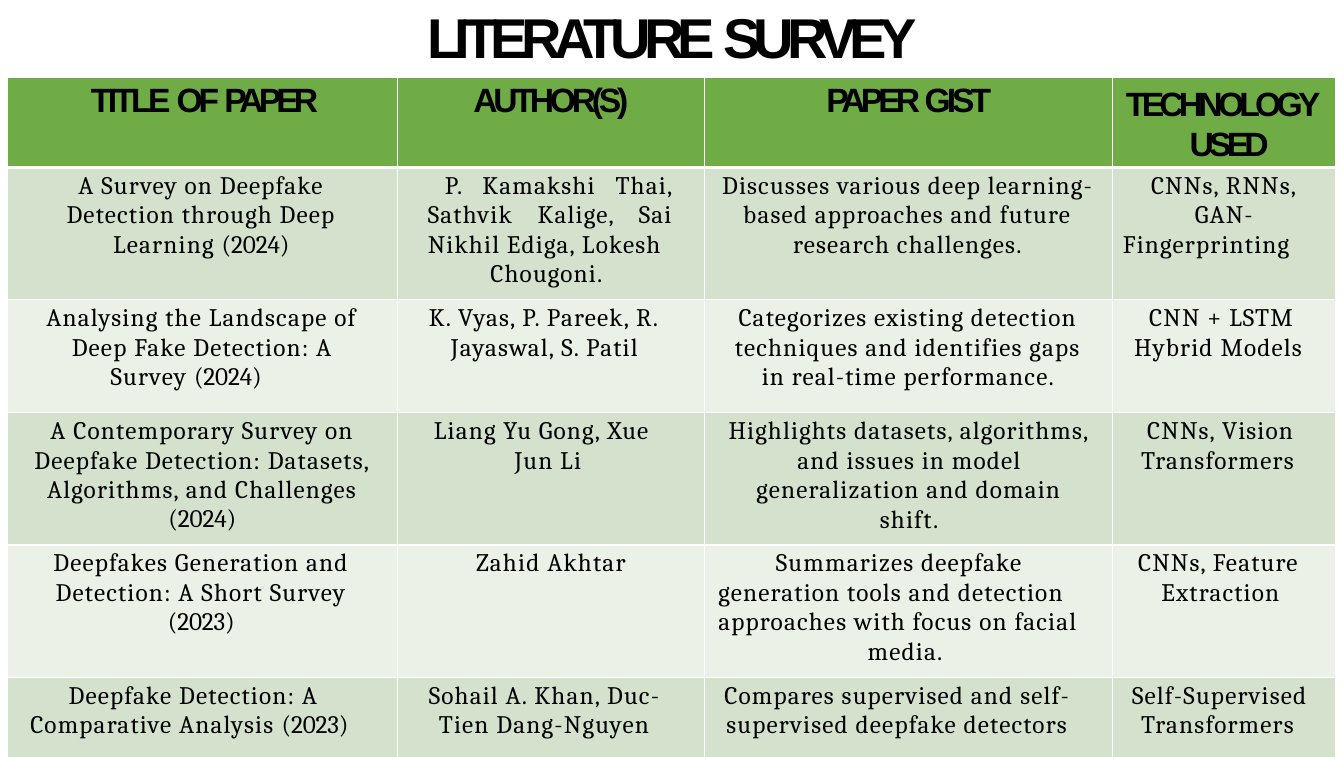
from typing import NamedTuple

from lxml.etree import SubElement
from pptx import Presentation
from pptx.dml.color import RGBColor
from pptx.enum.text import PP_ALIGN
from pptx.oxml.ns import qn
from pptx.util import Inches, Pt

COLORS = {"ink": "000000", "rule": "FFFFFF", "header": "6FAC46",
          "dark_band": "D4E2CD", "light_band": "EBF1E7"}
LEFT, CENTER, JUSTIFY = PP_ALIGN.LEFT, PP_ALIGN.CENTER, PP_ALIGN.JUSTIFY
COLUMN_WIDTHS = [3.87, 3.04, 4.05, 2.21]
ROW_HEIGHTS = [0.89, 1.31, 1.12, 1.31, 1.31, 0.8]


class Line(NamedTuple):
    """A paragraph: its text, alignment and indents in inches."""
    text: str
    align: PP_ALIGN = LEFT
    left: float = 0
    first: float = 0
    right: float = 0


# Heading, letter spacing of each word, top inset
HEADINGS = [
    (Line("TITLE OF PAPER", LEFT, 0.83), [-2.4, -3, -3.5], 0.04),
    (Line("AUTHOR(S)", CENTER), [-3], 0.04),
    (Line("PAPER GIST", LEFT, 1.21), [-3.5, -2.8], 0.04),
    (Line("TECHNOLOGY USED", LEFT, 0.76, -0.63), [-3.4, -3.4], 0.06),
]

PAPERS = [
    [[Line("A Survey on Deepfake Detection through Deep Learning (2024)",
           CENTER, 0.52, 0, 0.54)],
     [Line("P. Kamakshi Thai, Sathvik Kalige, Sai Nikhil Ediga, Lokesh",
           JUSTIFY, 0.3, 0.17, 0.31),
      Line("Chougoni.", LEFT, 0.92)],
     [Line("Discusses various deep learning-based approaches and future "
           "research challenges.", CENTER, 0.15, 0.01, 0.17)],
     [Line("CNNs, RNNs, GAN-", CENTER, 0.35, 0, 0.36),
      Line("Fingerprinting", CENTER, 0, 0, 0.36)]],
    [[Line("Analysing the Landscape of Deep Fake Detection: A",
           CENTER, 0.3, 0, 0.31),
      Line("Survey (2024)", CENTER, 0, 0, 0.32)],
     [Line("K. Vyas, P. Pareek, R. Jayaswal, S. Patil", LEFT, 0.53, -0.22, 0.3)],
     [Line("Categorizes existing detection techniques and identifies gaps in "
           "real-time performance.", CENTER, 0.22, 0, 0.23)],
     [Line("CNN + LSTM", LEFT, 0.36), Line("Hybrid Models", LEFT, 0.21)]],
    [[Line("A Contemporary Survey on Deepfake Detection: Datasets, "
           "Algorithms, and Challenges (2024)", CENTER, 0.18, 0, 0.18)],
     [Line("Liang Yu Gong, Xue Jun Li", LEFT, 1.16, -0.8, 0.4)],
     [Line("Highlights datasets, algorithms, and issues in model",
           CENTER, 0.16, 0, 0.15),
      Line("generalization and domain shift.", CENTER, 0.42, 0, 0.41)],
     [Line("CNNs, Vision Transformers", LEFT, 0.28, 0.06)]],
    [[Line("Deepfakes Generation and Detection: A Short Survey (2023)",
           CENTER, 0.36, 0, 0.38)],
     [Line("Zahid Akhtar", CENTER)],
     [Line("Summarizes deepfake generation tools and detection approaches "
           "with focus on facial", LEFT, 0.14, 0.57, 0.2),
      Line("media.", LEFT, 1.62)],
     [Line("CNNs, Feature Extraction", LEFT, 0.48, -0.23)]],
    [[Line("Deepfake Detection: A Comparative Analysis (2023)",
           LEFT, 0.23, 0.38)],
     [Line("Sohail A. Khan, Duc- Tien Dang-Nguyen", LEFT, 0.41, -0.1, 0.3)],
     [Line("Compares supervised and self- supervised deepfake detectors",
           LEFT, 0.22, -0.02)],
     [Line("Self-Supervised Transformers", LEFT, 0.28, -0.09)]],
]


class SurveySlide:
    """Holds the fonts and the page that elements are added to."""
    heading_font = "Arial"
    body_font = "Cambria"
    body_spacing = 0.85
    year_spacing = -0.1

    def __init__(self, page):
        self.page = page

    def add_spans(self, para, parts, font, size, bold=False):
        """Add runs given as (text, letter spacing in points)."""
        for text, spacing in parts:
            span = para.add_run()
            span.text = text
            span.font.name = font
            span.font.size = Pt(size)
            span.font.bold = bold
            span.font.color.rgb = RGBColor.from_string(COLORS["ink"])
            span._r.get_or_add_rPr().set("spc", str(round(spacing * 100)))

    def place(self, para, line, before):
        para.alignment = line.align
        para.space_before = Pt(before)
        properties = para._p.get_or_add_pPr()
        for name, length in (("marL", line.left), ("marR", line.right),
                             ("indent", line.first)):
            properties.set(name, str(Inches(length)))

    def title(self, words, spacings):
        box = self.page.shapes.add_textbox(
            Inches(4.23), Inches(0.01), Inches(4.87), Inches(0.69))
        frame = box.text_frame
        frame.word_wrap = True
        frame.margin_left = frame.margin_right = frame.margin_bottom = 0
        frame.margin_top = Inches(0.01)
        para = frame.paragraphs[0]
        self.place(para, Line("", LEFT, 0.01), 0.9)
        self.add_spans(para, zip(words, spacings), self.heading_font, 40, True)

    def table(self):
        table = self.page.shapes.add_table(
            len(ROW_HEIGHTS), len(COLUMN_WIDTHS), Inches(0.07), Inches(0.77),
            Inches(sum(COLUMN_WIDTHS)), Inches(sum(ROW_HEIGHTS))).table
        for column, width in zip(table.columns, COLUMN_WIDTHS):
            column.width = Inches(width)
        for row, height in zip(table.rows, ROW_HEIGHTS):
            row.height = Inches(height)
        return table

    def cell(self, cell, color, top_inset=0.04, top_rule=1, bottom_rule=1):
        cell.margin_left = cell.margin_right = cell.margin_bottom = 0
        cell.margin_top = Inches(top_inset)
        properties = cell._tc.get_or_add_tcPr()
        for side, width in (("L", 1), ("R", 1),
                            ("T", top_rule), ("B", bottom_rule)):
            rule = SubElement(properties, qn(f"a:ln{side}"), w=str(Pt(width)))
            fill = SubElement(rule, qn("a:solidFill"))
            SubElement(fill, qn("a:srgbClr"), val=COLORS["rule"])
        cell.fill.solid()
        cell.fill.fore_color.rgb = RGBColor.from_string(COLORS[color])

    def heading(self, cell, line, spacings, top_inset):
        self.cell(cell, "header", top_inset, bottom_rule=3)
        para = cell.text_frame.paragraphs[0]
        self.place(para, line, 2.8)
        if top_inset > 0.04:
            para.space_before = Pt(4)
            para.line_spacing = Pt(28.5)
        words = line.text.split()
        texts = [word + " " for word in words[:-1]] + words[-1:]
        self.add_spans(para, zip(texts, spacings), self.heading_font, 24, True)

    def entry(self, cell, lines, row):
        self.cell(cell, "dark_band" if row % 2 else "light_band",
                  top_rule=3 if row == 1 else 1)
        frame = cell.text_frame
        for number, line in enumerate(lines):
            para = frame.add_paragraph() if number else frame.paragraphs[0]
            self.place(para, line, 0.1 if number else 2.7)
            para.line_spacing = 1.01
            text, bracket, year = line.text.partition("(")
            parts = [(text, self.body_spacing)]
            if bracket:
                parts.append((bracket + year, self.year_spacing))
            self.add_spans(para, parts, self.body_font, 18)


def main():
    deck = Presentation()
    deck.slide_width = Inches(13.32)
    deck.slide_height = Inches(7.5)
    survey = SurveySlide(deck.slides.add_slide(deck.slide_layouts[6]))
    survey.title(["LITERATURE ", "SURVEY"], [-5, -5.2])
    table = survey.table()
    for column, (line, spacings, top_inset) in enumerate(HEADINGS):
        survey.heading(table.cell(0, column), line, spacings, top_inset)
    for row, paper in enumerate(PAPERS, start=1):
        for column, lines in enumerate(paper):
            survey.entry(table.cell(row, column), lines, row)
    deck.save("out.pptx")


if __name__ == "__main__":
    main()
